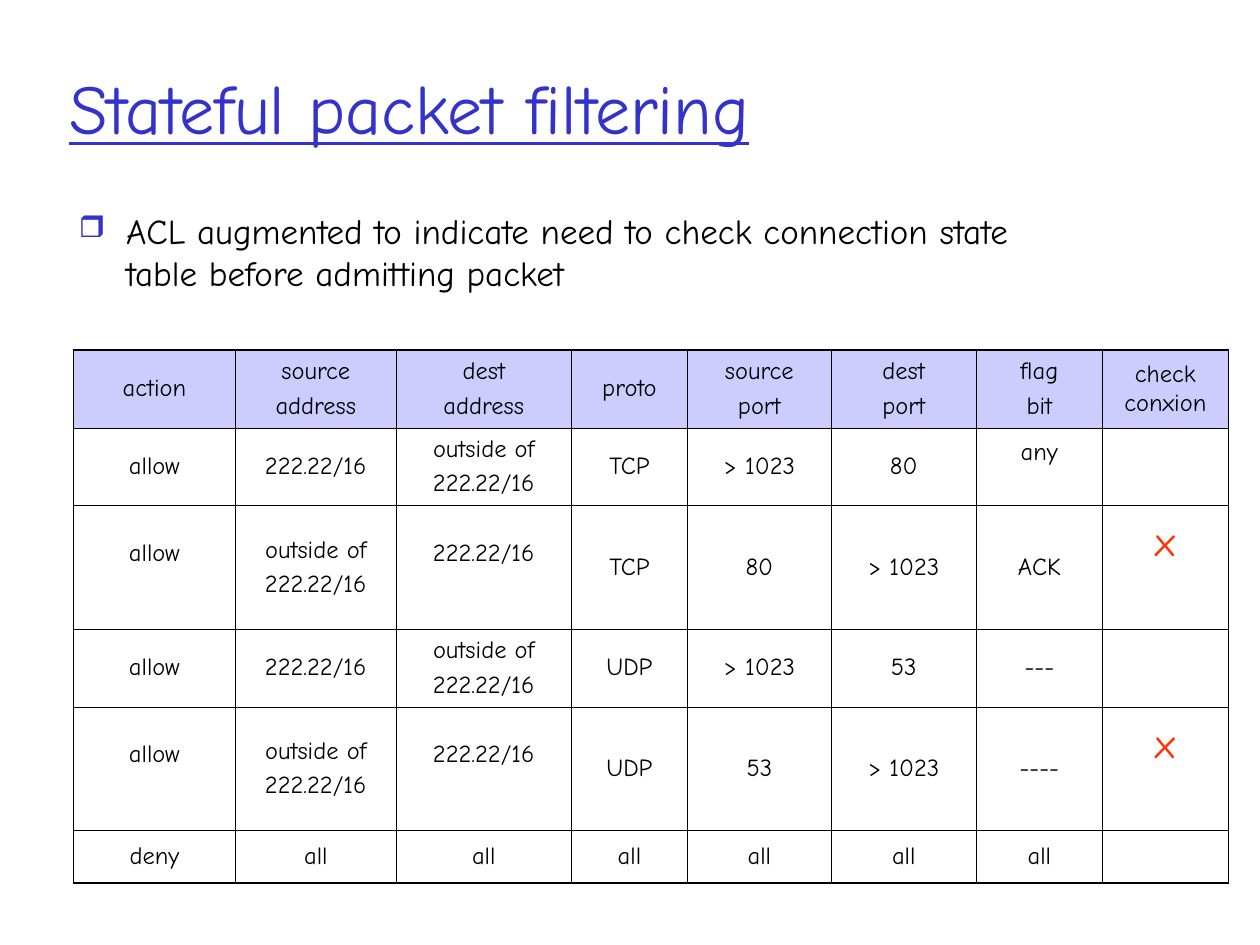
from dataclasses import dataclass

from lxml import etree
from pptx import Presentation
from pptx import util as u
from pptx.dml.color import RGBColor
from pptx.enum import text
from pptx.oxml import ns


@dataclass(frozen=True)
class Theme:
    face: str = "Comic Neue"
    ink: str = "000000"
    accent: str = "3333CC"
    header: str = "CCCCFF"
    mark: str = "FF3300"
    title_size: int = 40
    point_size: int = 20
    cell_size: int = 14
    mark_size: int = 24
    outer_line: float = 1.08
    inner_line: float = 0.45


theme = Theme()


def write(paragraph, words, size, color, **extra):
    paragraph.text = words
    font = paragraph.font
    for name, value in {"name": theme.face, "size": u.Pt(size), **extra}.items():
        setattr(font, name, value)
    font.color.rgb = RGBColor.from_string(color)


def add_xml(parent, tag, **attributes):
    return etree.SubElement(parent, ns.qn(tag), attributes)


deck = Presentation()
deck.slide_width, deck.slide_height = u.Pt(720), u.Pt(540)
slide = deck.slides.add_slide(deck.slide_layouts[6])

columns = [92.5, 92, 100, 66.5, 82, 83, 72, 72]
heights = [44.5, 44.5, 70.5, 44.5, 70.5, 30]
rules = [
    ["action", "source\naddress", "dest\naddress", "proto",
     "source\nport", "dest\nport", "flag\nbit", "check conxion"],
    ["allow", "222.22/16", "outside of\n222.22/16", "TCP", "> 1023", "80", "any", ""],
    ["allow", "outside of\n222.22/16", "222.22/16", "TCP", "80", "> 1023", "ACK", "x"],
    ["allow", "222.22/16", "outside of\n222.22/16", "UDP", "> 1023", "53", "---", ""],
    ["allow", "outside of\n222.22/16", "222.22/16", "UDP", "53", "> 1023", "----", "x"],
    ["deny"] + ["all"] * 6 + [""],
]
raised = {(1, 6), (2, 0), (2, 2), (2, 7), (4, 0), (4, 2), (4, 7)}
last_row, last_column = len(rules) - 1, len(columns) - 1

acl = slide.shapes.add_table(
    len(rules), len(columns), u.Pt(42), u.Pt(200), u.Pt(sum(columns)), u.Pt(sum(heights))
).table
acl.first_row = acl.horz_banding = False
for column, width in zip(acl.columns, columns):
    column.width = u.Pt(width)

for r, rule in enumerate(rules):
    acl.rows[r].height = u.Pt(heights[r])
    for c, entry in enumerate(rule):
        cell = acl.cell(r, c)
        size, color = (theme.mark_size, theme.mark) if entry == "x" else (theme.cell_size, theme.ink)
        lift = 1.15 * size if (r, c) in raised else 0
        layout = {
            "vertical_anchor": text.MSO_ANCHOR.MIDDLE,
            "margin_left": u.Pt(7.2),
            "margin_right": u.Pt(7.2),
            "margin_top": u.Pt(3.6),
            "margin_bottom": u.Pt(3.6 + lift),
        }
        for name, value in layout.items():
            setattr(cell, name, value)

        for i, words in enumerate(entry.split("\n")):
            line = cell.text_frame.add_paragraph() if i else cell.text_frame.paragraphs[0]
            line.alignment = text.PP_ALIGN.CENTER
            line.space_before = u.Pt(3.5 if i else 0)
            write(line, words, size, color)

        edges = {"a:lnL": c == 0, "a:lnR": c == last_column, "a:lnT": r == 0, "a:lnB": r == last_row}
        for tag, outer in edges.items():
            weight = u.Pt(theme.outer_line if outer else theme.inner_line)
            border = add_xml(cell._tc.get_or_add_tcPr(), tag, w=str(weight))
            add_xml(add_xml(border, "a:solidFill"), "a:srgbClr", val=theme.ink)
        if r == 0:
            cell.fill.solid()
            cell.fill.fore_color.rgb = RGBColor.from_string(theme.header)
        else:
            cell.fill.background()

heading = slide.shapes.add_textbox(u.Pt(32.4), u.Pt(16), u.Pt(612), u.Pt(90)).text_frame
heading.word_wrap = True
heading.vertical_anchor = text.MSO_ANCHOR.MIDDLE
write(heading.paragraphs[0], "Stateful packet filtering", theme.title_size, theme.accent, underline=True)

body = slide.shapes.add_textbox(u.Pt(38), u.Pt(116), u.Pt(592), u.Pt(361.5)).text_frame
body.word_wrap = True
point = body.paragraphs[0]
bullet = point._p.get_or_add_pPr()
bullet.set("marL", str(u.Pt(27)))
bullet.set("indent", str(u.Pt(-27)))
add_xml(add_xml(bullet, "a:buClr"), "a:srgbClr", val=theme.accent)
add_xml(bullet, "a:buSzPct", val="85000")
add_xml(bullet, "a:buChar", char="❒")
write(
    point,
    "ACL augmented to indicate need to check connection state table before admitting packet",
    theme.point_size,
    theme.ink,
)

deck.save("out.pptx")
